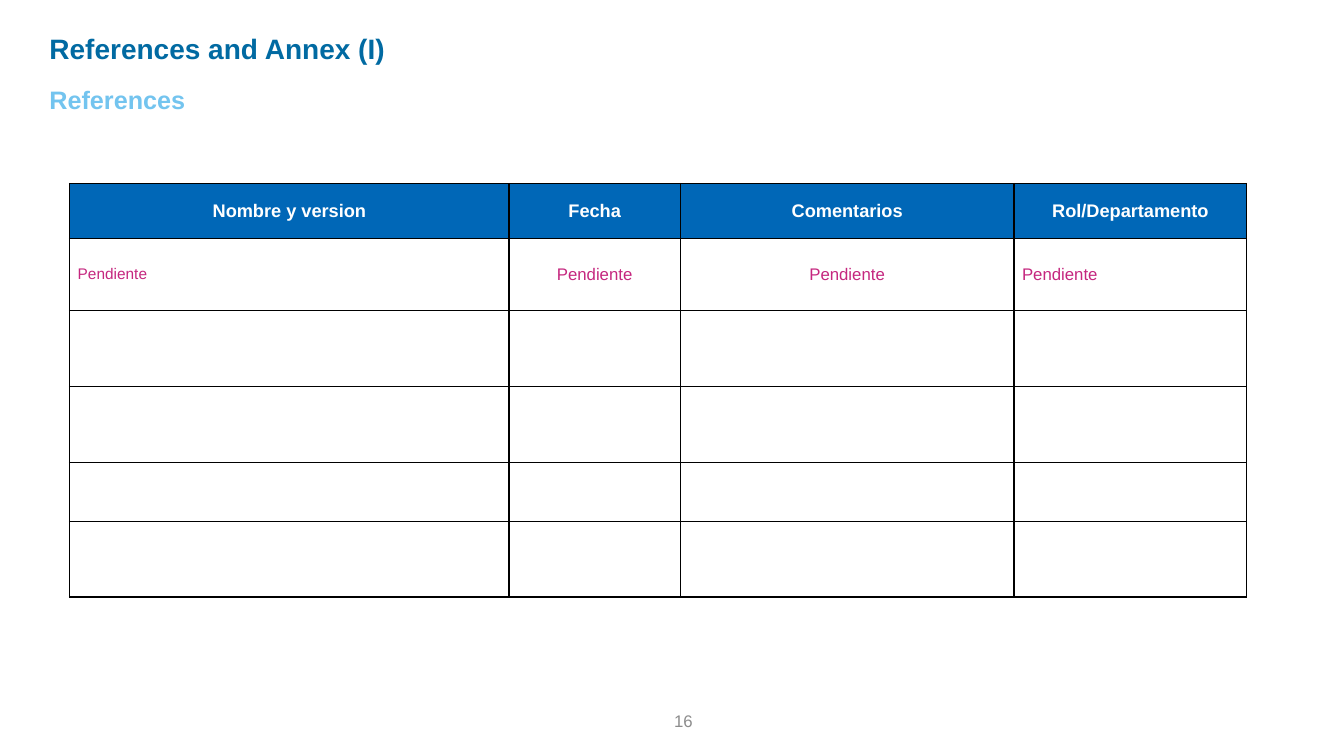
"""Build the references slide with its title, subtitle and table of documents."""
import pptx
import pptx.dml.color
import pptx.enum.text
import pptx.oxml
import pptx.oxml.ns
import pptx.util

Pt = pptx.util.Pt
ALIGN = pptx.enum.text.PP_ALIGN
MIDDLE = pptx.enum.text.MSO_ANCHOR.MIDDLE
TOP = pptx.enum.text.MSO_ANCHOR.TOP

COLORS = {
    "title": "016AA2",
    "subtitle": "73C4EF",
    "header": "0067B7",
    "header_text": "FFFFFF",
    "pending": "C5277F",
    "border": "000000",
    "page": "8C8C8C",
}
TITLE = "References and Annex (I)"
SUBTITLE = "References"
PAGE = "16"
COLUMNS = [
    ("Nombre y version", 313.9, "Pendiente", 11, ALIGN.LEFT),
    ("Fecha", 122.4, "Pendiente", 12, ALIGN.CENTER),
    ("Comentarios", 238.3, "Pendiente", 12, ALIGN.CENTER),
    ("Rol/Departamento", 166.3, "Pendiente", 12, ALIGN.LEFT),
]
ROW_HEIGHTS = [39.4, 51.3, 54.5, 54.5, 41.8, 54]


def write(frame, text, size, color, bold=False, align=ALIGN.LEFT):
    """Put one formatted paragraph in a text frame."""
    frame.word_wrap = True
    paragraph = frame.paragraphs[0]
    paragraph.alignment = align
    paragraph.space_before = Pt(0)
    run = paragraph.add_run()
    run.text = text
    run.font.name = "Arial"
    run.font.size = Pt(size)
    run.font.bold = bold
    run.font.color.rgb = pptx.dml.color.RGBColor.from_string(COLORS[color])


def place(holder, left, top, width, height, inset, anchor):
    """Move a text shape and set its margins and anchor."""
    holder.left, holder.top = Pt(left), Pt(top)
    holder.width, holder.height = Pt(width), Pt(height)
    frame = holder.text_frame
    frame.auto_size = pptx.enum.text.MSO_AUTO_SIZE.NONE
    frame.vertical_anchor = anchor
    frame.margin_left = frame.margin_right = Pt(inset)
    frame.margin_top = frame.margin_bottom = Pt(3.6)
    return frame


def add_borders(cell):
    """Draw a thin line on all four sides of a table cell."""
    properties = cell._tc.get_or_add_tcPr()
    for position, side in enumerate(("lnL", "lnR", "lnT", "lnB")):
        line = pptx.oxml.parse_xml(
            f'<a:{side} {pptx.oxml.ns.nsdecls("a")} w="{Pt(1)}"><a:solidFill>'
            f'<a:srgbClr val="{COLORS["border"]}"/></a:solidFill></a:{side}>'
        )
        properties.insert(position, line)


def add_references(slide):
    """Add the table: a header, one pending row and empty rows."""
    widths = [column[1] for column in COLUMNS]
    references = slide.shapes.add_table(
        len(ROW_HEIGHTS), len(COLUMNS), Pt(49.7), Pt(131),
        Pt(sum(widths)), Pt(sum(ROW_HEIGHTS)),
    ).table
    references.first_row = references.horz_banding = False
    for row, height in zip(references.rows, ROW_HEIGHTS):
        row.height = Pt(height)
    for index, (heading, width, pending, size, align) in enumerate(COLUMNS):
        references.columns[index].width = Pt(width)
        for row in range(len(ROW_HEIGHTS)):
            cell = references.cell(row, index)
            cell.vertical_anchor = MIDDLE
            cell.margin_left = cell.margin_right = Pt(5.8)
            cell.margin_top = cell.margin_bottom = Pt(5.8)
            cell.fill.background()
            add_borders(cell)
        header = references.cell(0, index)
        header.fill.solid()
        header.fill.fore_color.rgb = pptx.dml.color.RGBColor.from_string(COLORS["header"])
        write(header.text_frame, heading, 13, "header_text", bold=True, align=ALIGN.CENTER)
        write(references.cell(1, index).text_frame, pending, size, "pending", align=align)


def main():
    """Assemble and save the slide."""
    deck = pptx.Presentation()
    deck.slide_width, deck.slide_height = Pt(960), Pt(540)
    slide = deck.slides.add_slide(deck.slide_layouts[1])

    title = place(slide.shapes.title, 31.7, 18.7, 597.6, 31.7, 3.6, TOP)
    write(title, TITLE, 20, "title", bold=True)

    subtitle = place(slide.placeholders[1], 31.7, 56.9, 563, 28.8, 3.6, TOP)
    write(subtitle, SUBTITLE, 18, "subtitle", bold=True)
    bullet = subtitle.paragraphs[0]._p.get_or_add_pPr()
    bullet.set("marL", "0")
    bullet.set("indent", "0")
    bullet.append(pptx.oxml.parse_xml(f'<a:buNone {pptx.oxml.ns.nsdecls("a")}/>'))

    add_references(slide)

    page = slide.shapes.add_textbox(0, 0, 0, 0)
    write(place(page, 240.5, 500.4, 261.4, 28.8, 7.2, MIDDLE), PAGE, 12, "page", align=ALIGN.RIGHT)
    deck.save("out.pptx")


if __name__ == "__main__":
    main()
